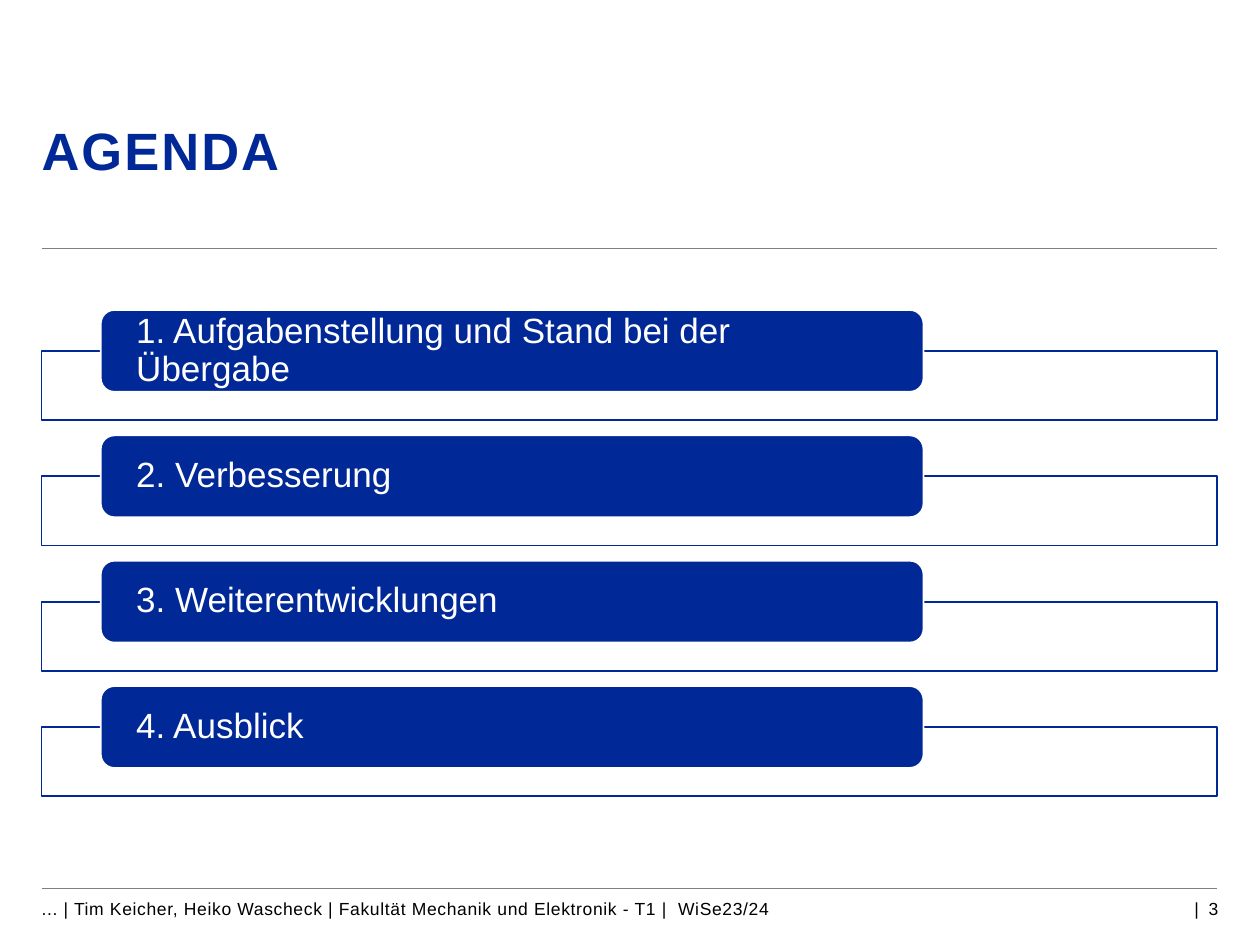
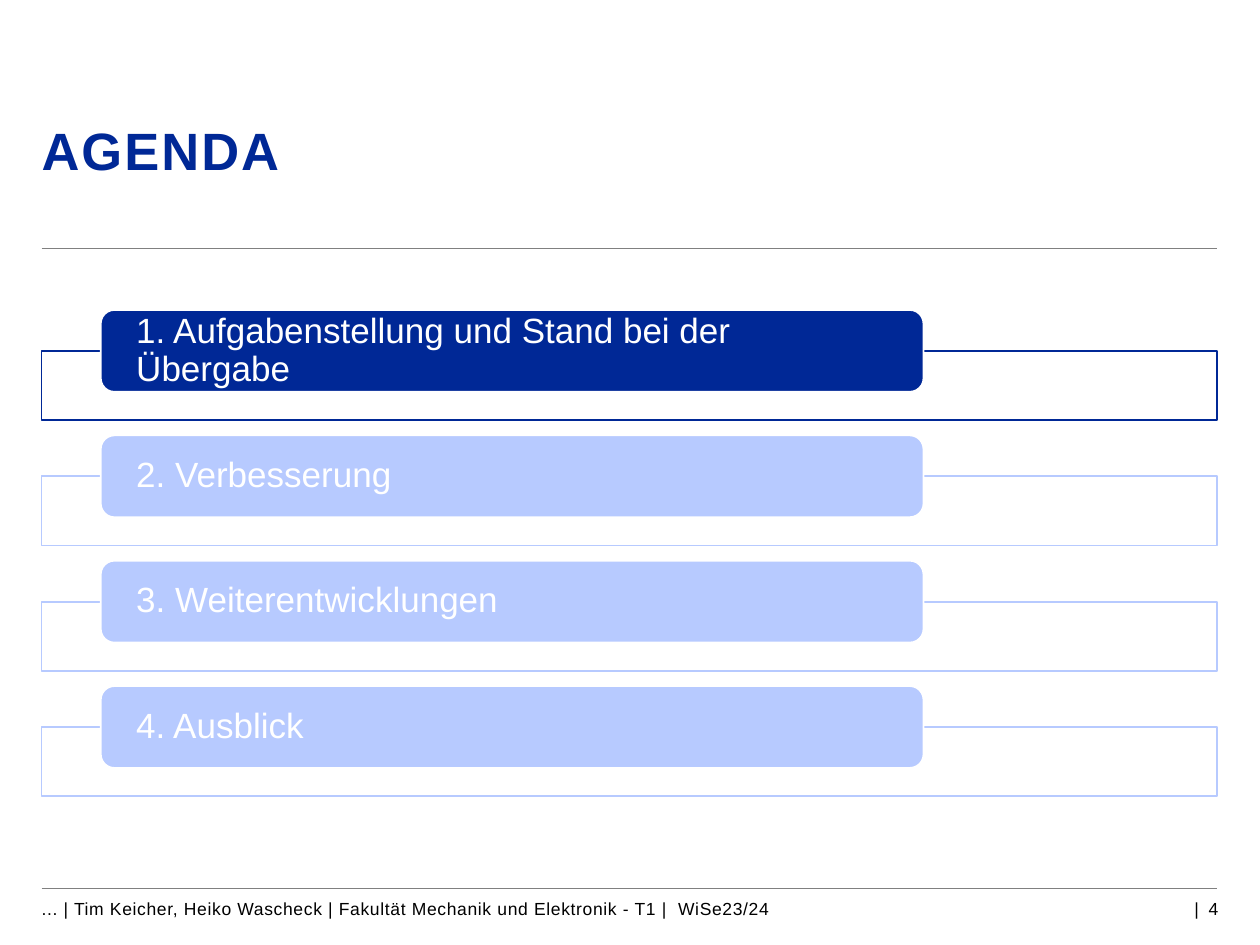
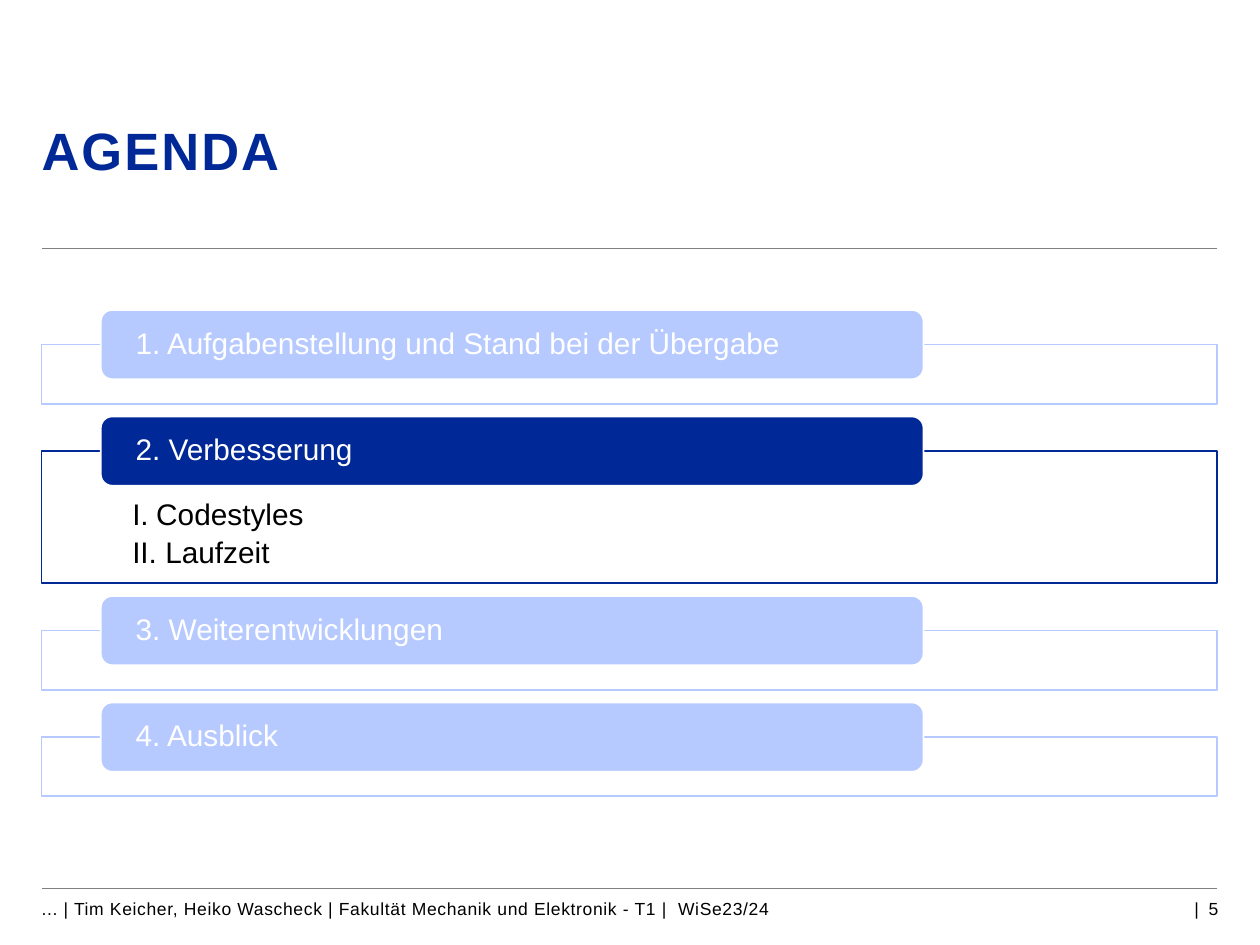
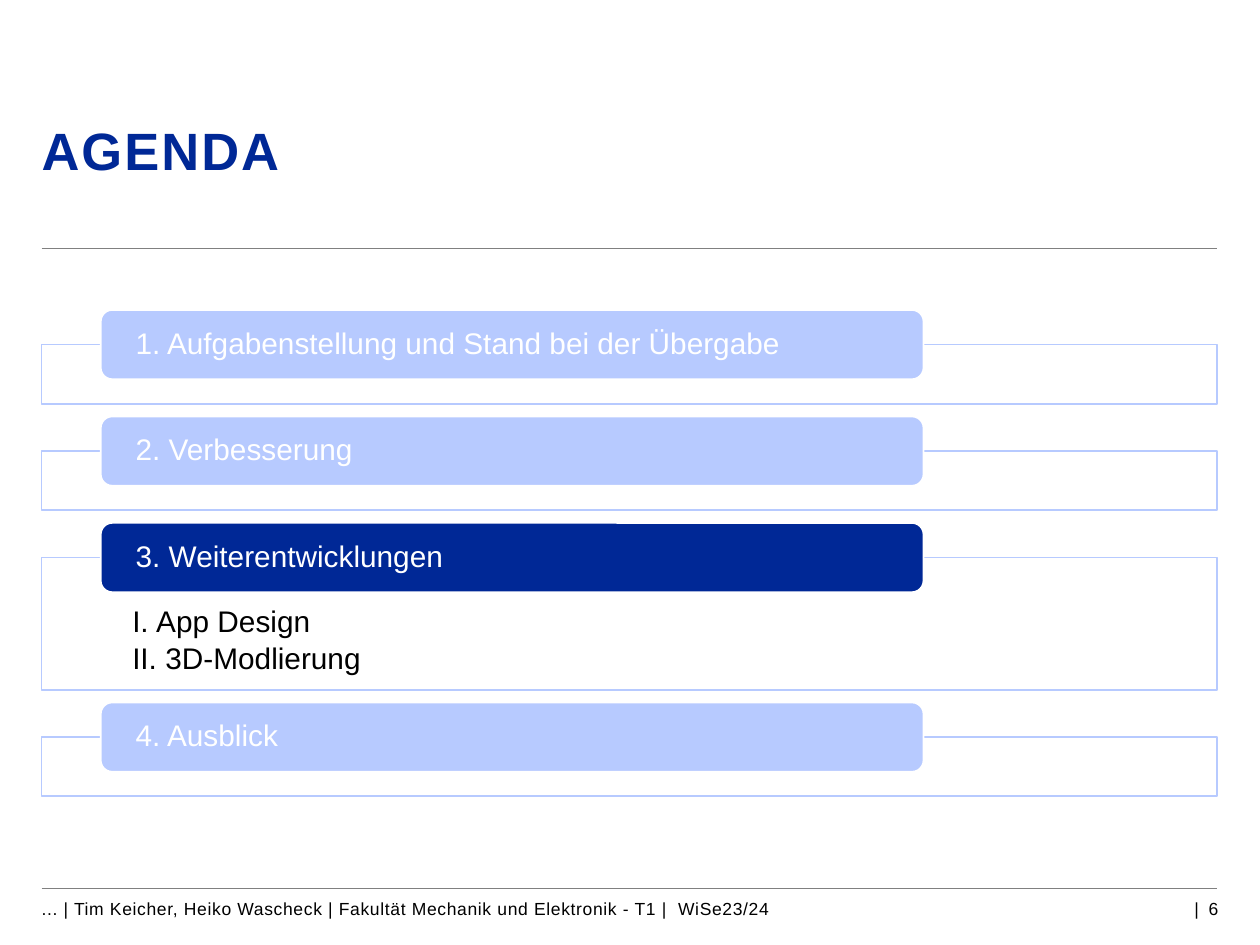
from lxml import etree
from pptx import Presentation
from pptx.dml.color import RGBColor
from pptx.enum import shapes, text
from pptx.oxml.ns import qn
from pptx.util import Inches, Pt

# Content
TITLE = "AGENDA"
FOOTER = ("... | Tim Keicher, Heiko Wascheck | "
          "Fakultät Mechanik und Elektronik - T1 |  WiSe23/24")
TOPICS = ["1. Aufgabenstellung und Stand bei der Übergabe", "2. Verbesserung",
          "3. Weiterentwicklungen", "4. Ausblick"]
FIRST_PAGE = 3
# active: highlighted topics, framed: topics with a dark frame,
# details: subtopics by topic index
AGENDAS = [
    {"active": [0, 1, 2, 3], "framed": [0, 1, 2, 3], "details": {}},
    {"active": [0], "framed": [0], "details": {}},
    {"active": [1], "framed": [1], "details": {1: ["Codestyles", " Laufzeit"]}},
    {"active": [2], "framed": [], "details": {2: ["App Design", " 3D-Modlierung"]}},
]

# Shared style
FONT = "Arial"
NAVY, PALE, GREY, WHITE, BLACK = "002896", "B7CAFF", "808080", "FFFFFF", "000000"
LEFT, WIDTH = 0.33, 9.33
RULES = [1.97, 7.05]
STACK_TOP, STACK_BOTTOM = 2.46, 6.32
PILL_LEFT, PILL_WIDTH = 0.8, 6.53
OPEN_HEIGHT = 1.05
ROOMY = {"pill": 0.65, "frame": 0.55, "size": 20}
COMPACT = {"pill": 0.55, "frame": 0.47, "size": 17}


def rgb(color):
    return RGBColor.from_string(color)


def write(sp, lines, size, color, insets=(0, 0, 0, 0), bold=False, tracking=0,
          align=text.PP_ALIGN.LEFT, anchor=text.MSO_ANCHOR.TOP, spacing=1.0, after=0):
    tf = sp.text_frame
    tf.word_wrap = True
    tf.vertical_anchor = anchor
    tf.margin_left, tf.margin_top, tf.margin_right, tf.margin_bottom = map(Inches, insets)
    tf.text = "\n".join(lines)
    for p in tf.paragraphs:
        p.alignment, p.line_spacing, p.space_after = align, spacing, Pt(after)
        for r in p.runs:
            r.font.name, r.font.size, r.font.bold = FONT, Pt(size), bold
            r.font.color.rgb = rgb(color)
            if tracking:
                r._r.get_or_add_rPr().set("spc", str(round(tracking * 100)))
    return tf


def add_text(slide, box, line, size, color, **style):
    write(slide.shapes.add_textbox(*map(Inches, box)), [line], size, color, **style)


def add_box(slide, kind, box, line):
    sp = slide.shapes.add_shape(kind, *map(Inches, box))
    sp.shadow.inherit = False
    sp.line.color.rgb, sp.line.width = rgb(line), Pt(1)
    return sp


def add_rule(slide, y):
    rule = slide.shapes.add_connector(
        shapes.MSO_CONNECTOR.STRAIGHT, *map(Inches, (LEFT, y, LEFT + WIDTH, y)))
    rule.line.color.rgb, rule.line.width = rgb(GREY), Pt(0.5)
    etree.SubElement(rule._element.spPr, qn("a:effectLst"))


def add_base(slide, page):
    for y in RULES:
        add_rule(slide, y)
    add_text(slide, (LEFT, 0.98, WIDTH, 0.94), TITLE, 30, NAVY,
             bold=True, tracking=1.2, spacing=0.94)
    add_text(slide, (LEFT, 7.13, 7.77, 0.24), FOOTER, 10, BLACK, tracking=0.4)
    add_text(slide, (8.11, 7.13, 1.56, 0.24), f"|  {page}", 10, BLACK,
             align=text.PP_ALIGN.RIGHT)


def add_frame(slide, y, height, line, details, size):
    frame = add_box(slide, shapes.MSO_SHAPE.RECTANGLE, (LEFT, y, WIDTH, height), line)
    if not details:
        frame.fill.solid()
        frame.fill.fore_color.rgb = rgb(WHITE)
        white = frame._element.spPr.find(qn("a:solidFill"))[0]
        etree.SubElement(white, qn("a:alpha"), val="90000")
        return
    frame.fill.background()
    tf = write(frame, details, size, BLACK, (0.72, 0.39, 0.72, 0.13),
               spacing=0.9, after=3)
    # Roman numerals with a hanging indent
    for p in tf.paragraphs:
        p.level = 1
        pPr = p._p.get_or_add_pPr()
        pPr.set("marL", str(Inches(0.19)))
        pPr.set("indent", str(-Inches(0.19)))
        etree.SubElement(pPr, qn("a:buFont"), typeface="+mj-lt")
        etree.SubElement(pPr, qn("a:buAutoNum"), type="romanUcPeriod")


def add_pill(slide, y, height, topic, fill, size):
    pill = add_box(slide, shapes.MSO_SHAPE.ROUNDED_RECTANGLE,
                   (PILL_LEFT, y, PILL_WIDTH, height), WHITE)
    pill.fill.solid()
    pill.fill.fore_color.rgb = rgb(fill)
    write(pill, [topic], size, WHITE, (0.25, 0, 0.25, 0),
          anchor=text.MSO_ANCHOR.MIDDLE, spacing=0.9)


def add_agenda(slide, agenda):
    details = agenda["details"]
    fit = COMPACT if details else ROOMY
    overlap = fit["pill"] / 2
    frames = [OPEN_HEIGHT if i in details else fit["frame"] for i in range(len(TOPICS))]
    used = sum(frames) + overlap * len(TOPICS)
    gap = (STACK_BOTTOM - STACK_TOP - used) / (len(TOPICS) - 1)
    y = STACK_TOP
    for i, (topic, height) in enumerate(zip(TOPICS, frames)):
        add_frame(slide, y + overlap, height, NAVY if i in agenda["framed"] else PALE,
                  details.get(i), fit["size"])
        add_pill(slide, y, fit["pill"], topic,
                 NAVY if i in agenda["active"] else PALE, fit["size"])
        y += overlap + height + gap


def main():
    prs = Presentation()
    prs.slide_width, prs.slide_height = Inches(10), Inches(7.5)
    for page, agenda in enumerate(AGENDAS, FIRST_PAGE):
        slide = prs.slides.add_slide(prs.slide_layouts[6])
        add_base(slide, page)
        add_agenda(slide, agenda)
    prs.save("out.pptx")


if __name__ == "__main__":
    main()
